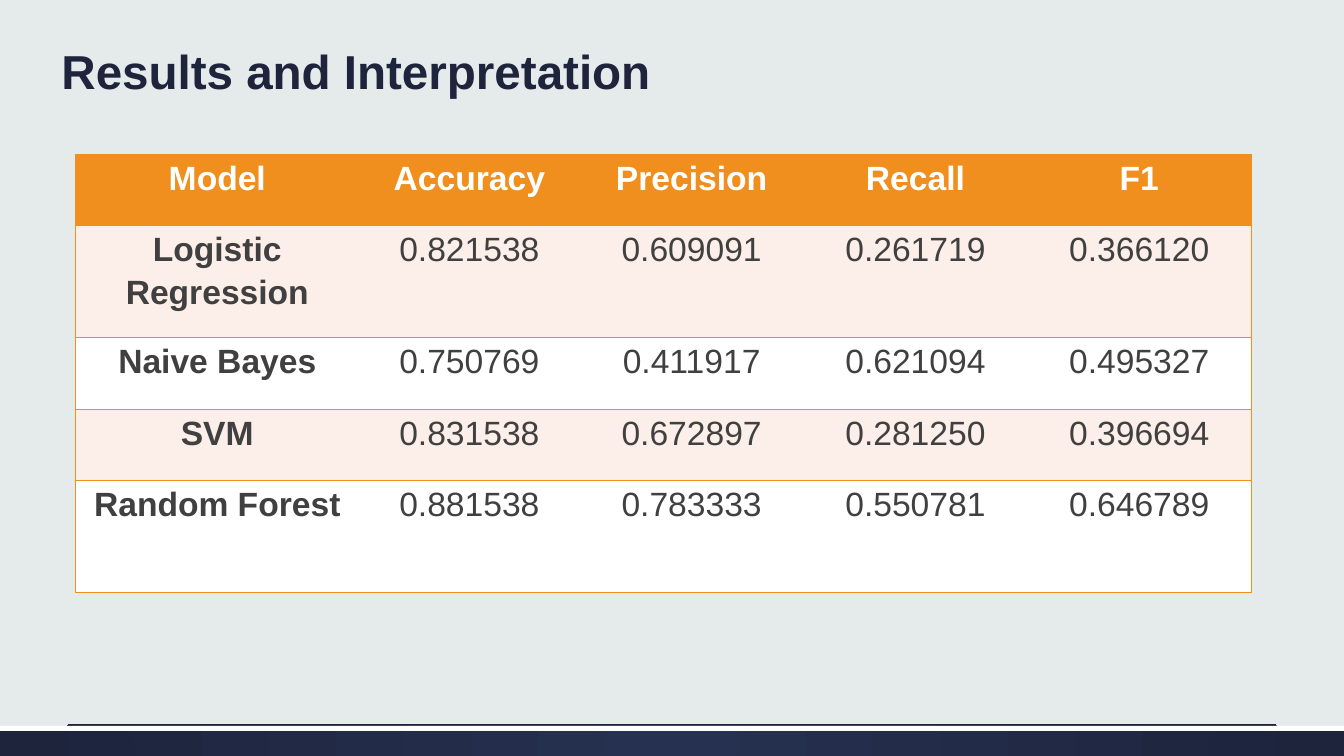
"""Build the model comparison slide with its title, score table and footer."""
from dataclasses import dataclass

from lxml import etree
from pptx import Presentation
from pptx.dml.color import RGBColor
from pptx.enum.shapes import MSO_CONNECTOR, MSO_SHAPE
from pptx.enum.text import MSO_ANCHOR, MSO_AUTO_SIZE, PP_ALIGN
from pptx.oxml.ns import qn
from pptx.util import Emu, Pt

RECTANGLE = MSO_SHAPE.RECTANGLE
STRAIGHT = MSO_CONNECTOR.STRAIGHT
BOTTOM, TOP = MSO_ANCHOR.BOTTOM, MSO_ANCHOR.TOP
LEFT, CENTER = PP_ALIGN.LEFT, PP_ALIGN.CENTER
NO_AUTOFIT = MSO_AUTO_SIZE.NONE
TITLE_ONLY = 5
EMU_PER_PX = 9144
PLAIN_TABLE_STYLE = "{2D5ABB26-0587-4C30-8999-92F81FD0307C}"


@dataclass(frozen=True)
class Theme:
    font: str = "Arial"
    title_size: int = 34
    table_size: int = 24
    background: str = "E5EAEA"
    navy: str = "1D243C"
    navy_light: str = "263050"
    orange: str = "F08F1E"
    peach: str = "FCEEE8"
    white: str = "FFFFFF"
    body: str = "404040"


@dataclass(frozen=True)
class Box:
    left: int
    top: int
    width: int
    height: int

    def emu(self) -> tuple:
        return tuple(px(n) for n in (self.left, self.top, self.width, self.height))


@dataclass(frozen=True)
class Score:
    model: str
    accuracy: str
    precision: str
    recall: str
    f1: str
    height: int

    def texts(self) -> tuple:
        return self.model, self.accuracy, self.precision, self.recall, self.f1


THEME = Theme()
SLIDE = Box(0, 0, 1333, 750)
TITLE = Box(51, 41, 1040, 63)
TABLE = Box(75, 153, 1166, 435)
FOOTER = Box(0, 720, 1333, 30)
FOOTER_EDGE = Box(0, 720, 1333, 5)
RULE = Box(67, 719, 1199, 0)
COLUMNS = (281, 219, 222, 222, 222)
CELL_INSET = 17
SCORES = (
    Score("Model", "Accuracy", "Precision", "Recall", "F1", 71),
    Score("Logistic Regression", "0.821538", "0.609091", "0.261719", "0.366120", 111),
    Score("Naive Bayes", "0.750769", "0.411917", "0.621094", "0.495327", 71),
    Score("SVM", "0.831538", "0.672897", "0.281250", "0.396694", 71),
    Score("Random Forest", "0.881538", "0.783333", "0.550781", "0.646789", 111),
)


def px(length: int) -> Emu:
    return Emu(length * EMU_PER_PX)


def rgb(color: str) -> RGBColor:
    return RGBColor.from_string(color)


def write(frame, text: str, size: int, color: str, bold: bool, align, spacing: float) -> None:
    paragraph = frame.paragraphs[0]
    paragraph.alignment = align
    paragraph.line_spacing = spacing
    run = paragraph.add_run()
    run.text = text
    run.font.name = THEME.font
    run.font.size = Pt(size)
    run.font.bold = bold
    run.font.color.rgb = rgb(color)


def add_bar(slide, box: Box):
    bar = slide.shapes.add_shape(RECTANGLE, *box.emu())
    bar.shadow.inherit = False
    bar.line.fill.background()
    return bar


def add_footer(slide) -> None:
    band = add_bar(slide, FOOTER)
    band.fill.gradient()
    for stop, color in zip(band.fill.gradient_stops, (THEME.navy_light, THEME.navy)):
        stop.color.rgb = rgb(color)
    for stop, position in zip(band.fill.gradient_stops, (0, 1)):
        stop.position = position
    linear = band.fill._xPr.find(qn("a:gradFill")).find(qn("a:lin"))
    radial = etree.Element(qn("a:path"), {"path": "circle"})
    etree.SubElement(radial, qn("a:fillToRect"), dict.fromkeys("ltrb", "50000"))
    linear.getparent().replace(linear, radial)

    edge = add_bar(slide, FOOTER_EDGE)
    edge.fill.solid()
    edge.fill.fore_color.rgb = rgb(THEME.white)

    rule = slide.shapes.add_connector(
        STRAIGHT, px(RULE.left), px(RULE.top), px(RULE.left + RULE.width), px(RULE.top)
    )
    rule.line.color.rgb = rgb(THEME.navy)
    rule.line.width = Pt(0.75)
    etree.SubElement(rule._element.spPr, qn("a:effectLst"))


def add_title(slide) -> None:
    title = slide.shapes.title
    title.left, title.top, title.width, title.height = TITLE.emu()
    frame = title.text_frame
    frame.word_wrap = True
    frame.auto_size = NO_AUTOFIT
    frame.vertical_anchor = BOTTOM
    write(frame, "Results and Interpretation", THEME.title_size, THEME.navy, True, LEFT, 0.9)


def add_borders(cell, sides: str) -> None:
    for side in sides:
        line = etree.SubElement(cell._tc.get_or_add_tcPr(), qn(f"a:ln{side}"), w=str(Pt(1)))
        fill = etree.SubElement(line, qn("a:solidFill"))
        etree.SubElement(fill, qn("a:srgbClr"), val=THEME.orange)


def add_scores(slide) -> None:
    table = slide.shapes.add_table(len(SCORES), len(COLUMNS), *TABLE.emu()).table
    table._tbl.tblPr.find(qn("a:tableStyleId")).text = PLAIN_TABLE_STYLE
    for column, width in zip(table.columns, COLUMNS):
        column.width = px(width)
    outer_sides = {0: "LTB", len(COLUMNS) - 1: "RTB"}
    for row, score in enumerate(SCORES):
        table.rows[row].height = px(score.height)
        header = row == 0
        stripe = THEME.peach if row % 2 else THEME.white
        for col, text in enumerate(score.texts()):
            cell = table.cell(row, col)
            cell.margin_left = cell.margin_right = px(CELL_INSET)
            cell.margin_top = cell.margin_bottom = 0
            cell.vertical_anchor = TOP
            add_borders(cell, outer_sides.get(col, "TB"))
            cell.fill.solid()
            cell.fill.fore_color.rgb = rgb(THEME.orange if header else stripe)
            color = THEME.white if header else THEME.body
            write(cell.text_frame, text, THEME.table_size, color, header or col == 0, CENTER, 1.15)


def main() -> None:
    deck = Presentation()
    deck.slide_width, deck.slide_height = px(SLIDE.width), px(SLIDE.height)
    slide = deck.slides.add_slide(deck.slide_layouts[TITLE_ONLY])
    slide.background.fill.solid()
    slide.background.fill.fore_color.rgb = rgb(THEME.background)
    add_footer(slide)
    add_title(slide)
    add_scores(slide)
    deck.save("out.pptx")


if __name__ == "__main__":
    main()
